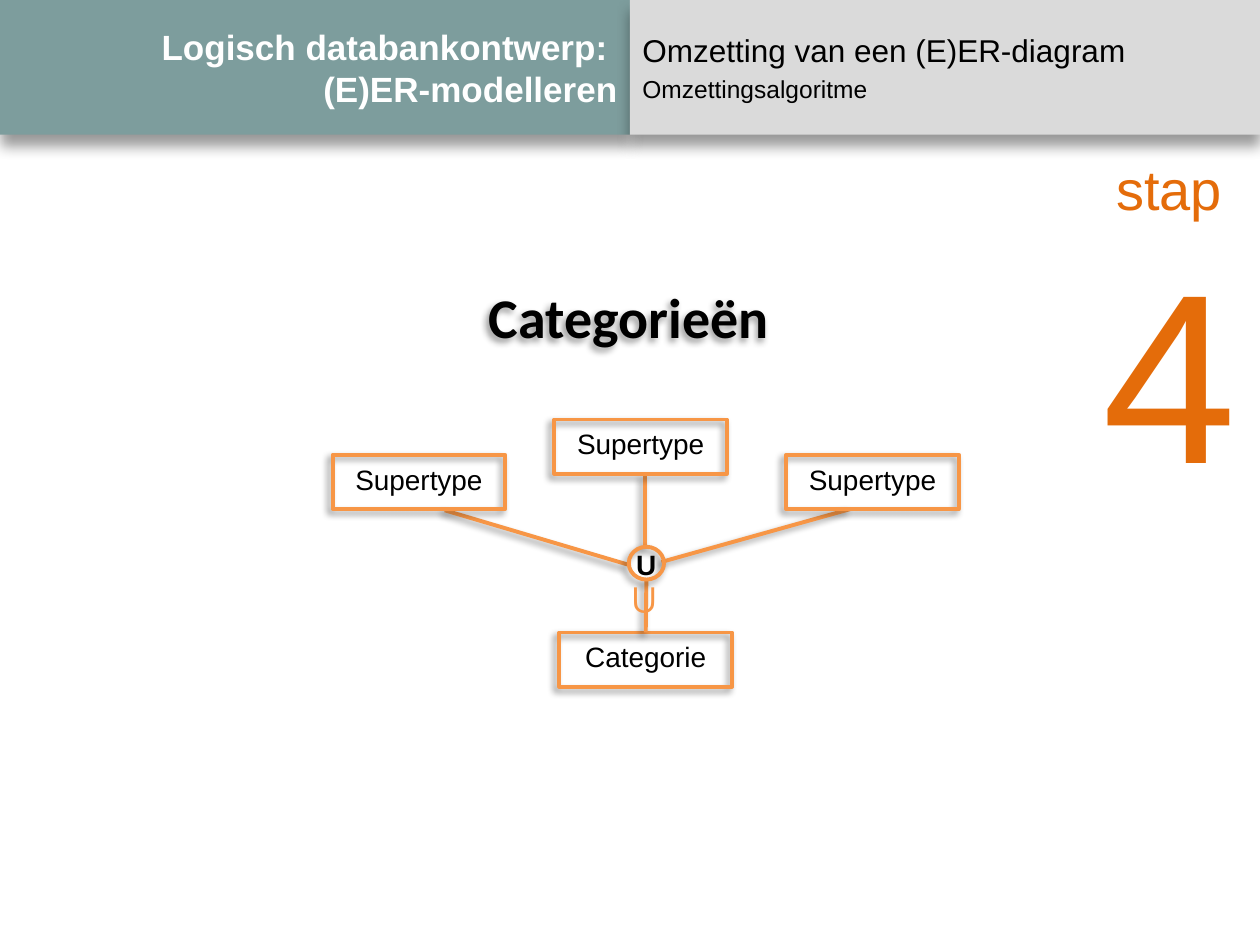
from lxml.etree import SubElement
from pptx import Presentation
from pptx.dml.color import RGBColor
from pptx.enum.shapes import MSO_CONNECTOR as CONN, MSO_SHAPE as SHAPE
from pptx.enum.text import MSO_ANCHOR as ANCHOR, PP_ALIGN as ALIGN
from pptx.oxml.ns import qn
from pptx.util import Inches, Pt

THEME = {
    "teal": "7D9D9D", "grey": "DADADA", "line": "F79646", "accent": "E46C0A",
    "white": "FFFFFF", "black": "000000", "font": "Arial", "display": "Calibri",
    "title": 20, "topic": 18, "subtopic": 14, "label": 16, "subset": 24,
    "heading": 32, "number": 138, "stroke": 2.25,
}
HEADER_SHADOW = (8, 6, 90)
DIAGRAM_SHADOW = (4, 3, 135)

BANNERS = [
    (0, "teal", ALIGN.RIGHT, [("Logisch databankontwerp: \v(E)ER-modelleren", "title", "white", True)]),
    (5, "grey", ALIGN.LEFT, [("Omzetting van een (E)ER-diagram", "topic", "black", False),
                             ("Omzettingsalgoritme", "subtopic", "black", False)]),
]
BANNER_SIZE = (5, 1.07)

STEP = [("stap", "heading", "accent", False), ("4", "number", "accent", False)]
HEADING = [("Categorieën", "heading", "black", True)]
SYMBOLS = [
    ((4.9, 4.49, 0.46, 0.5), [("∪", "subset", "line", True)]),
    ((4.95, 4.3, 0.36, 0.37), [("U", "label", "black", True)]),
]

ENTITIES = [
    ("Supertype", 2.64, 3.61),
    ("Supertype", 4.4, 3.33),
    ("Supertype", 6.24, 3.61),
    ("Categorie", 4.44, 5.02),
]
ENTITY_SIZE = (1.37, 0.43)
UNION = (4.99, 4.34, 0.28, 0.26)
SUPERTYPE_LINES = [
    ((4.98, 4.48), (3.53, 4.05)),
    ((5.12, 4.35), (5.12, 3.77)),
    ((5.25, 4.46), (6.75, 4.04)),
]
CATEGORY_LINE = ((5.13, 5.02), (5.13, 4.6))


def color(name):
    return RGBColor.from_string(THEME[name])


def inches(values):
    return [Inches(v) for v in values]


def add_shadow(s, blur, distance, angle):
    effects = SubElement(s._element.spPr, qn("a:effectLst"))
    shadow = SubElement(effects, qn("a:outerShdw"), {
        "blurRad": str(Pt(blur)), "dist": str(Pt(distance)),
        "dir": str(angle * 60000), "rotWithShape": "0"})
    rgb = SubElement(shadow, qn("a:srgbClr"), val=THEME["black"])
    SubElement(rgb, qn("a:alpha"), val="40000")


def write(s, paragraphs, align, wrap=False, anchor=ANCHOR.TOP, font="font"):
    tf = s.text_frame
    tf.word_wrap, tf.vertical_anchor = wrap, anchor
    for i, (text, size, ink, bold) in enumerate(paragraphs):
        p = tf.add_paragraph() if i else tf.paragraphs[0]
        p.text, p.alignment = text, align
        if i and wrap:
            p.space_before = Pt(3)
        for r in p.runs:
            for key, value in {"name": THEME[font], "size": Pt(THEME[size]), "bold": bold}.items():
                setattr(r.font, key, value)
            r.font.color.rgb = color(ink)


def add_text(slide, box, paragraphs, align=ALIGN.CENTER, font="font"):
    s = slide.shapes.add_textbox(*inches(box))
    write(s, paragraphs, align, font=font)
    return s


def add_outline(slide, kind, box):
    s = slide.shapes.add_shape(kind, *inches(box))
    s.fill.background()
    s.line.color.rgb, s.line.width = color("line"), Pt(THEME["stroke"])
    add_shadow(s, *DIAGRAM_SHADOW)
    return s


def add_line(slide, start, end):
    s = slide.shapes.add_connector(CONN.STRAIGHT, *inches(start + end))
    s.line.color.rgb, s.line.width = color("line"), Pt(THEME["stroke"])
    add_shadow(s, *DIAGRAM_SHADOW)
    return s


def add_entity(slide, name, left, top):
    width, height = ENTITY_SIZE
    s = add_outline(slide, SHAPE.RECTANGLE, (left, top, width, height))
    add_text(slide, (left, top + 0.01, width, 0.37), [(name, "label", "black", False)])
    return s


def main():
    """Build the slide on mapping categories in an (E)ER diagram."""
    prs = Presentation()
    prs.slide_width, prs.slide_height = Inches(10), Inches(7.5)
    slide = prs.slides.add_slide(prs.slide_layouts[6])

    for left, fill, align, paragraphs in BANNERS:
        s = slide.shapes.add_shape(SHAPE.RECTANGLE, *inches((left, 0) + BANNER_SIZE))
        s.fill.solid()
        s.fill.fore_color.rgb = color(fill)
        s.line.fill.background()
        add_shadow(s, *HEADER_SHADOW)
        write(s, paragraphs, align, wrap=True, anchor=ANCHOR.MIDDLE)

    add_text(slide, (8.63, 1.18, 1.3, 2.96), STEP)
    heading = add_text(slide, (3.78, 2.19, 2.45, 0.64), HEADING, ALIGN.LEFT, "display")
    add_shadow(heading, *DIAGRAM_SHADOW)

    for start, end in SUPERTYPE_LINES:
        add_line(slide, start, end)
    entities = [add_entity(slide, *entity) for entity in ENTITIES]
    add_line(slide, *CATEGORY_LINE).begin_connect(entities[-1], 0)
    add_outline(slide, SHAPE.OVAL, UNION)
    for box, paragraphs in SYMBOLS:
        add_text(slide, box, paragraphs, ALIGN.LEFT)

    prs.save("out.pptx")


if __name__ == "__main__":
    main()
